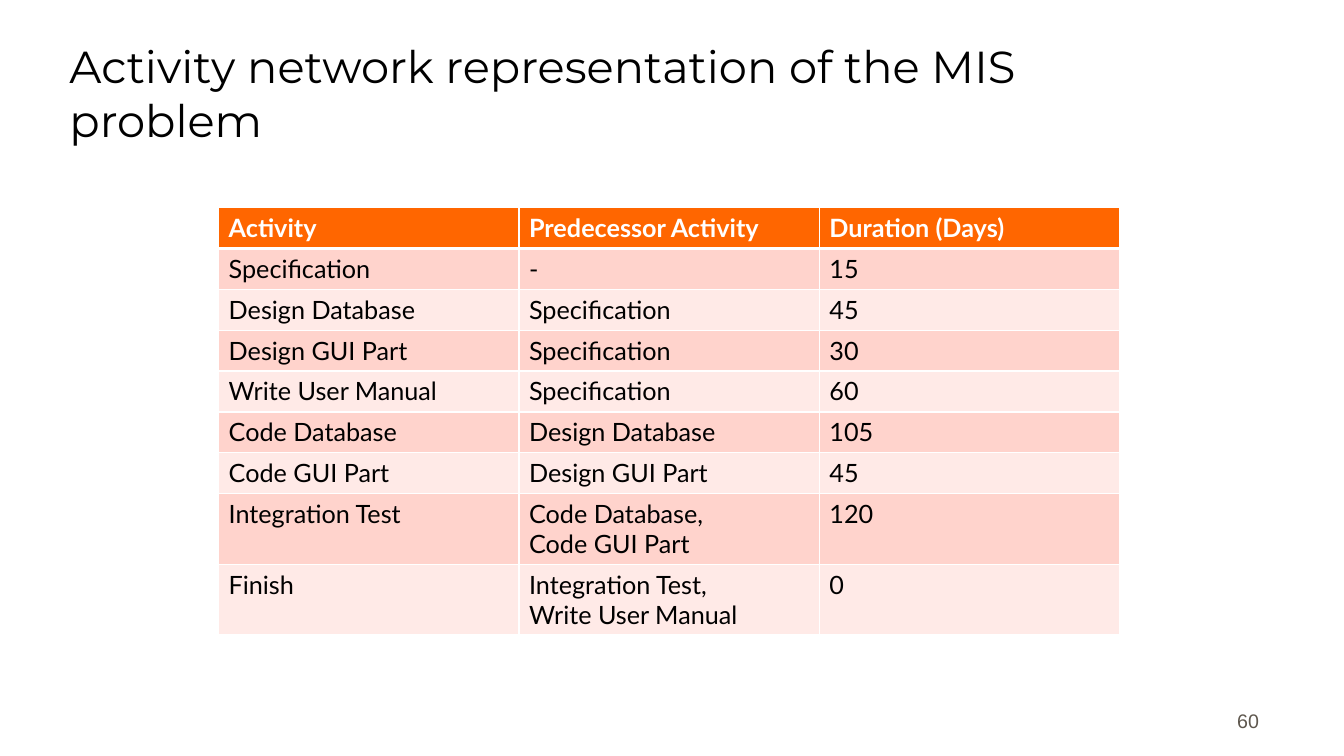
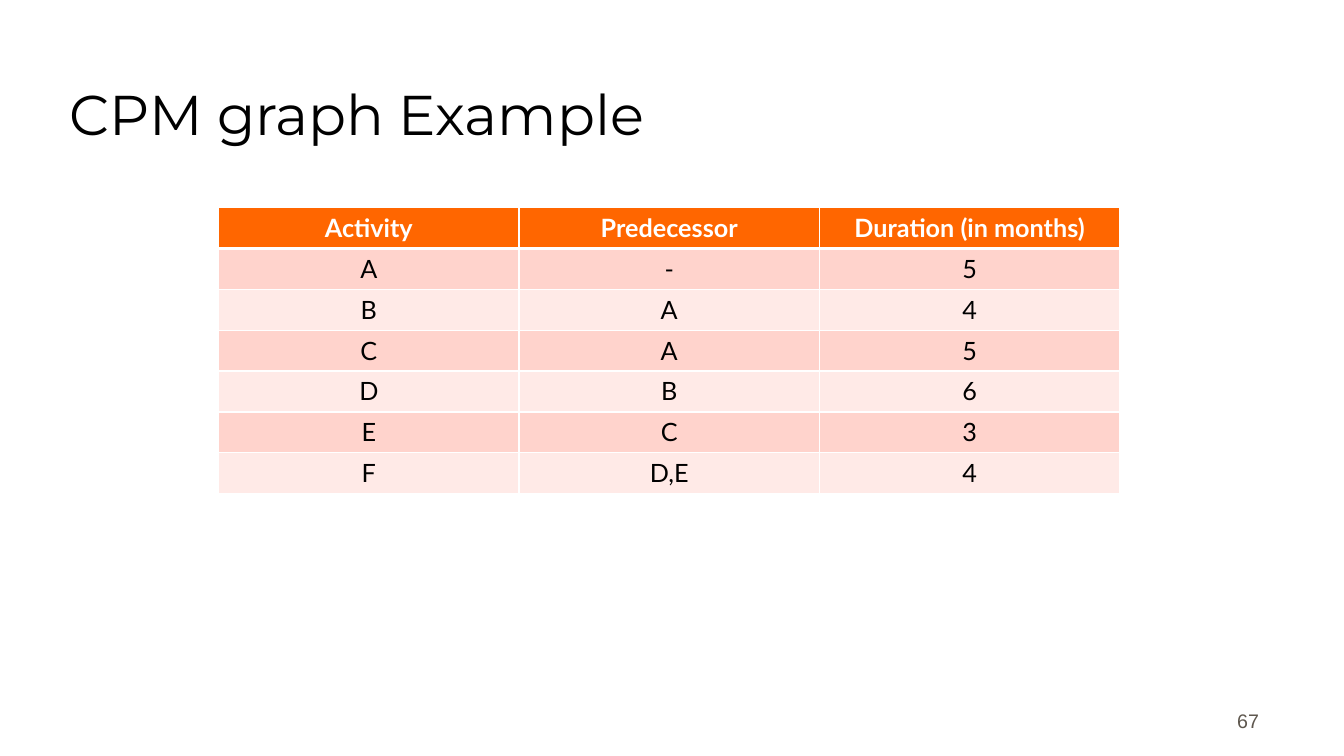
from lxml import etree
from pptx import Presentation
from pptx.dml.color import RGBColor
from pptx.enum.text import MSO_ANCHOR, PP_ALIGN
from pptx.oxml.ns import qn
from pptx.util import Cm, Pt

LEFT, CENTER, RIGHT = PP_ALIGN.LEFT, PP_ALIGN.CENTER, PP_ALIGN.RIGHT
BOTTOM = MSO_ANCHOR.BOTTOM

COLORS = {
    "text": "000000",
    "page": "5E574E",
    "white": "FFFFFF",
    "header": "FF6600",
    "band_dark": "FFD3CC",
    "band_light": "FFEAE7",
}

COLUMN_WIDTH = 7.57
LINE_HEIGHT = 0.75
ROW_HEIGHT = 1.03

SLIDES = [
    {
        "title": "Activity network representation of the MIS problem",
        "title_size": 32,
        "page": "60",
        "align": LEFT,
        "rows": [
            ("Activity", "Predecessor Activity", "Duration (Days)"),
            ("Specification", "-", "15"),
            ("Design Database", "Specification", "45"),
            ("Design GUI Part", "Specification", "30"),
            ("Write User Manual", "Specification", "60"),
            ("Code Database", "Design Database", "105"),
            ("Code GUI Part", "Design GUI Part", "45"),
            ("Integration Test", "Code Database,\nCode GUI Part", "120"),
            ("Finish", "Integration Test,\nWrite User Manual", "0"),
        ],
    },
    {
        "title": "CPM graph Example",
        "title_size": 40,
        "page": "67",
        "align": CENTER,
        "rows": [
            ("Activity", "Predecessor", "Duration (in months)"),
            ("A", "-", "5"),
            ("B", "A", "4"),
            ("C", "A", "5"),
            ("D", "B", "6"),
            ("E", "C", "3"),
            ("F", "D,E", "4"),
        ],
    },
]


def format_text(text_frame, text, font_name, size, color, align, bold=False):
    text_frame.text = text
    text_frame.word_wrap = True
    for paragraph in text_frame.paragraphs:
        paragraph.alignment = align
        for run in paragraph.runs:
            run.font.name = font_name
            run.font.size = Pt(size)
            run.font.bold = bold
            run.font.color.rgb = RGBColor.from_string(COLORS[color])


def add_borders(cell, top, bottom):
    properties = cell._tc.get_or_add_tcPr()
    for side, width in (("L", 1), ("R", 1), ("T", top), ("B", bottom)):
        line = etree.SubElement(properties, qn(f"a:ln{side}"), w=str(Pt(width)))
        fill = etree.SubElement(line, qn("a:solidFill"))
        etree.SubElement(fill, qn("a:srgbClr"), val=COLORS["white"])


presentation = Presentation()
presentation.slide_width = Cm(33.87)
presentation.slide_height = Cm(19.05)
blank_layout = presentation.slide_layouts[6]

for content in SLIDES:
    slide = presentation.slides.add_slide(blank_layout)

    # Title
    title = slide.shapes.add_textbox(Cm(1.5), Cm(0.64), Cm(28.78), Cm(3.17))
    title.text_frame.vertical_anchor = BOTTOM
    format_text(title.text_frame, content["title"], "Montserrat",
                content["title_size"], "text", LEFT)

    # Activity table
    rows = content["rows"]
    column_count = len(rows[0])
    frame = slide.shapes.add_table(
        len(rows), column_count, Cm(5.51), Cm(5.23),
        Cm(COLUMN_WIDTH * column_count), Cm(ROW_HEIGHT * len(rows)))
    table = frame.table
    table.horz_banding = False
    for column in table.columns:
        column.width = Cm(COLUMN_WIDTH)

    for row_index, values in enumerate(rows):
        extra_lines = max(value.count("\n") for value in values)
        table.rows[row_index].height = Cm(ROW_HEIGHT + LINE_HEIGHT * extra_lines)
        is_header = row_index == 0
        if is_header:
            fill_color = "header"
        else:
            fill_color = "band_dark" if row_index % 2 else "band_light"
        for column_index, value in enumerate(values):
            cell = table.cell(row_index, column_index)
            add_borders(cell, top=3 if row_index == 1 else 1,
                        bottom=3 if is_header else 1)
            cell.fill.solid()
            cell.fill.fore_color.rgb = RGBColor.from_string(COLORS[fill_color])
            format_text(cell.text_frame, value, "Lato", 18,
                        "white" if is_header else "text",
                        content["align"], bold=is_header)

    # Page number
    page = slide.shapes.add_textbox(Cm(24.92), Cm(17.3), Cm(7.06), Cm(1.27))
    page.text_frame.vertical_anchor = BOTTOM
    format_text(page.text_frame, content["page"], "Arial", 14, "page", RIGHT)

presentation.save("out.pptx")
